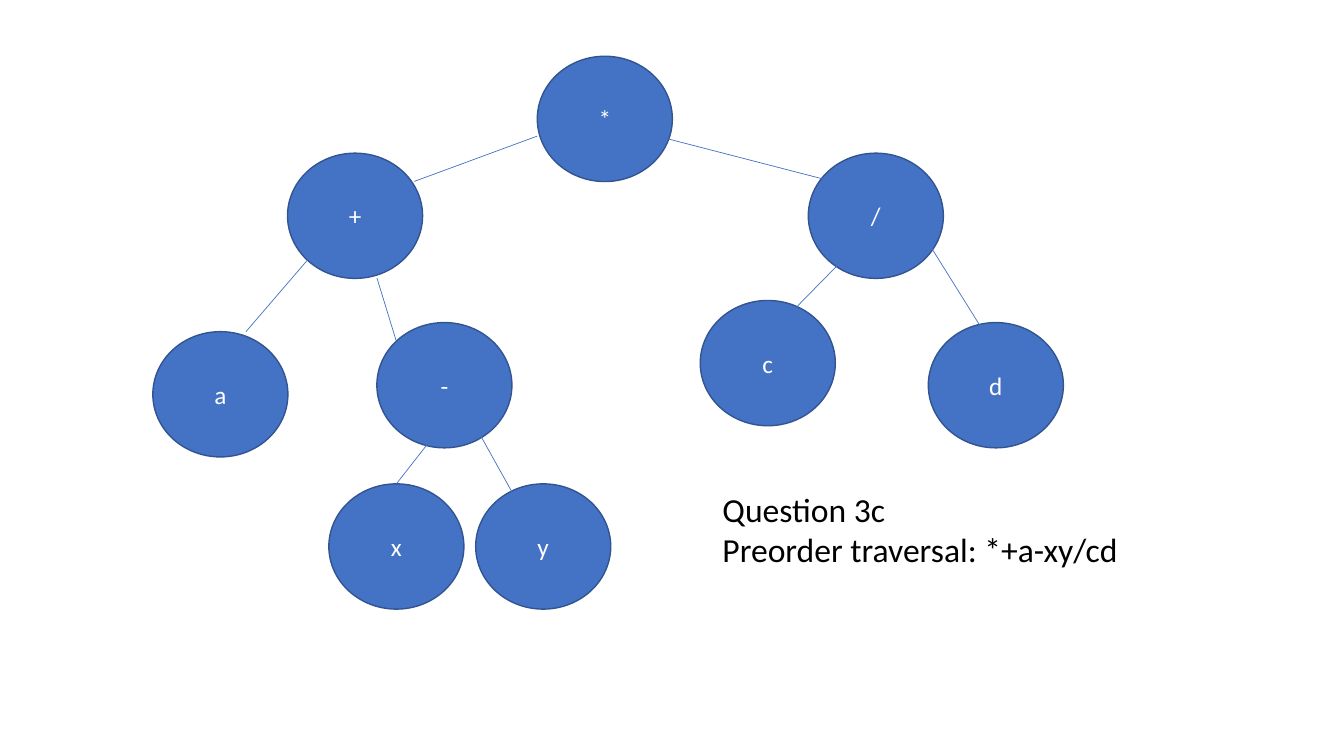
from dataclasses import dataclass
from typing import Any, Optional

from lxml import etree
from pptx import Presentation
from pptx import util as u
from pptx.dml.color import RGBColor
from pptx.enum import shapes, text
from pptx.oxml.ns import qn


@dataclass(frozen=True)
class Theme:
    font: str = "Calibri"
    node_size: float = 18
    caption_size: float = 24
    blue: RGBColor = RGBColor(0x44, 0x72, 0xC4)
    outline: RGBColor = RGBColor(0x32, 0x54, 0x91)
    white: RGBColor = RGBColor(0xFF, 0xFF, 0xFF)
    black: RGBColor = RGBColor(0, 0, 0)


@dataclass(frozen=True)
class Node:
    label: str
    left: float
    top: float


@dataclass(frozen=True)
class Edge:
    """A branch; top_of names the node whose top point it is joined to."""
    x1: float
    y1: float
    x2: float
    y2: float
    top_of: Optional[str] = None


THEME = Theme()
NODE_WIDTH, NODE_HEIGHT = 96.5, 89.5
LEVEL_2, LEVEL_3, LEVEL_4 = 109.4, 230.4, 345.6

NODES = [
    Node("*", 383.8, 40.2),
    Node("c", 500.2, 214.6),
    Node("/", 577.4, LEVEL_2),
    Node("a", 109.2, 236.9),
    Node("d", 663.1, LEVEL_3),
    Node("-", 269.2, LEVEL_3),
    Node("x", 234.9, LEVEL_4),
    Node("y", 339.8, LEVEL_4),
    Node("+", 205.4, LEVEL_2),
]
EDGES = [
    Edge(383.8, 97.2, 295.9, 129.6),
    Edge(219.6, 185.8, 175.7, 236.9),
    Edge(269.3, 198.7, 283, 243.4),
    Edge(307.4, 314.6, 283, 345.6, top_of="x"),
    Edge(342, 308.9, 373.7, 365.8),
    Edge(469.4, 97.2, 594.7, 129.6),
    Edge(601.2, 186.5, 563, 225.4),
    Edge(663.1, 173.5, 702.7, 236.9),
]
CAPTION = ["Question 3c", "Preorder traversal: *+a-xy/cd"]


def set_all(target: Any, values: dict[str, Any]) -> None:
    for name, value in values.items():
        setattr(target, name, value)


def write(para: Any, words: str, size: float, color: RGBColor) -> None:
    span = para.add_run()
    span.text = words
    set_all(span.font, {"name": THEME.font, "size": u.Pt(size)})
    span.font.color.rgb = color


def draw_node(page: Any, node: Node) -> Any:
    circle = page.shapes.add_shape(
        shapes.MSO_SHAPE.OVAL, u.Pt(node.left), u.Pt(node.top),
        u.Pt(NODE_WIDTH), u.Pt(NODE_HEIGHT))
    circle.shadow.inherit = False
    circle.fill.solid()
    circle.fill.fore_color.rgb = THEME.blue
    circle.line.color.rgb = THEME.outline
    circle.line.width = u.Pt(1)
    circle.text_frame.vertical_anchor = text.MSO_ANCHOR.MIDDLE
    para = circle.text_frame.paragraphs[0]
    para.alignment = text.PP_ALIGN.CENTER
    write(para, node.label, THEME.node_size, THEME.white)
    return circle


def draw_edge(page: Any, edge: Edge, circles: dict[str, Any]) -> None:
    branch = page.shapes.add_connector(
        shapes.MSO_CONNECTOR.STRAIGHT,
        u.Pt(edge.x1), u.Pt(edge.y1), u.Pt(edge.x2), u.Pt(edge.y2))
    if edge.top_of:
        branch.end_connect(circles[edge.top_of], 0)
    branch.line.color.rgb = THEME.blue
    branch.line.width = u.Pt(0.5)
    etree.SubElement(branch._element.spPr, qn("a:effectLst"))


def draw_caption(page: Any) -> None:
    box = page.shapes.add_textbox(
        u.Pt(509), u.Pt(345.6), u.Pt(343.4), u.Pt(65.5))
    frame = box.text_frame
    set_all(frame, {"word_wrap": True,
                    "auto_size": text.MSO_AUTO_SIZE.SHAPE_TO_FIT_TEXT})
    for index, words in enumerate(CAPTION):
        para = frame.add_paragraph() if index else frame.paragraphs[0]
        write(para, words, THEME.caption_size, THEME.black)


def main() -> None:
    deck = Presentation()
    set_all(deck, {"slide_width": u.Pt(960), "slide_height": u.Pt(540)})
    page = deck.slides.add_slide(deck.slide_layouts[6])
    circles = {node.label: draw_node(page, node) for node in NODES}
    for edge in EDGES:
        draw_edge(page, edge, circles)
    draw_caption(page)
    deck.save("out.pptx")


if __name__ == "__main__":
    main()
